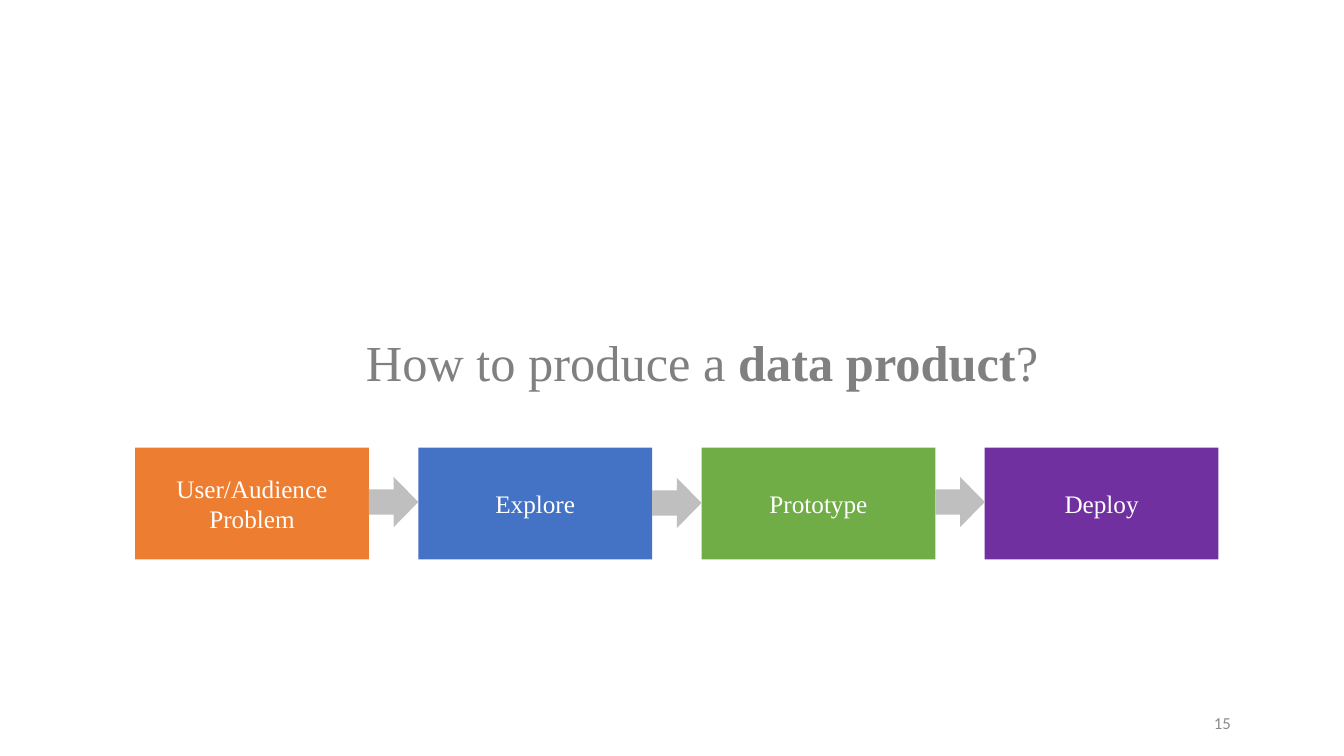
from dataclasses import dataclass

import pptx
import pptx.dml.color
import pptx.enum.shapes
import pptx.enum.text
import pptx.shapes.autoshape
import pptx.slide
import pptx.util

Pt = pptx.util.Pt
Align = pptx.enum.text.PP_ALIGN
Anchor = pptx.enum.text.MSO_ANCHOR
Form = pptx.enum.shapes.MSO_SHAPE


@dataclass(frozen=True)
class Theme:
    serif: str = "Times New Roman"
    sans: str = "Calibri"
    title: str = "808080"
    number: str = "8C8C8C"
    label: str = "FFFFFF"
    arrow: str = "BFBFBF"
    orange: str = "ED7D31"
    blue: str = "4472C4"
    green: str = "70AD47"
    purple: str = "7030A0"
    big: float = 36
    mid: float = 18
    small: float = 12


@dataclass(frozen=True)
class Area:
    left: float
    top: float
    width: float
    height: float

    def place(self) -> tuple[pptx.util.Length, ...]:
        return Pt(self.left), Pt(self.top), Pt(self.width), Pt(self.height)


@dataclass(frozen=True)
class Style:
    font: str
    size: float
    color: str
    align: Align = Align.CENTER


@dataclass(frozen=True)
class Piece:
    text: str
    bold: bool = False


@dataclass(frozen=True)
class Step:
    lines: tuple[str, ...]
    color: str


THEME = Theme()
LABEL = Style(THEME.serif, THEME.mid, THEME.label)
TITLE = Style(THEME.serif, THEME.big, THEME.title)
NUMBER = Style(THEME.sans, THEME.small, THEME.number, Align.RIGHT)

STEPS = (
    Step(("User/Audience", "Problem"), THEME.orange),
    Step(("Explore",), THEME.blue),
    Step(("Prototype",), THEME.green),
    Step(("Deploy",), THEME.purple),
)
FIRST = Area(96.5, 319.7, 167, 80)
GAP = 35.3
ARROWS = (340.6, 341.3, 340.6)
THICK = 36


def write(
    frame: pptx.text.text.TextFrame,
    lines: list[list[Piece]],
    style: Style,
    anchor: Anchor = Anchor.MIDDLE,
) -> None:
    frame.word_wrap = True
    frame.vertical_anchor = anchor
    for index, line in enumerate(lines):
        para = frame.add_paragraph() if index else frame.paragraphs[0]
        para.alignment = style.align
        for piece in line:
            run = para.add_run()
            run.text = piece.text
            run.font.name = style.font
            run.font.size = Pt(style.size)
            run.font.bold = piece.bold
            run.font.color.rgb = pptx.dml.color.RGBColor.from_string(style.color)


def block(
    slide: pptx.slide.Slide, form: Form, area: Area, color: str
) -> pptx.shapes.autoshape.Shape:
    shape = slide.shapes.add_shape(form, *area.place())
    shape.shadow.inherit = False
    shape.fill.solid()
    shape.fill.fore_color.rgb = pptx.dml.color.RGBColor.from_string(color)
    shape.line.fill.background()
    return shape


def flow(slide: pptx.slide.Slide) -> None:
    pitch = FIRST.width + GAP
    for index, step in enumerate(STEPS):
        area = Area(FIRST.left + index * pitch, FIRST.top, FIRST.width, FIRST.height)
        shape = block(slide, Form.RECTANGLE, area, step.color)
        write(shape.text_frame, [[Piece(line)] for line in step.lines], LABEL)
    for index, top in enumerate(ARROWS):
        left = FIRST.left + FIRST.width + index * pitch
        block(slide, Form.RIGHT_ARROW, Area(left, top, GAP, THICK), THEME.arrow)


def main() -> None:
    deck = pptx.Presentation()
    deck.slide_width, deck.slide_height = Pt(960), Pt(540)
    slide = deck.slides.add_slide(deck.slide_layouts[6])
    flow(slide)
    title = slide.shapes.add_textbox(*Area(209.5, 232.6, 584, 51).place())
    words = [Piece("How to produce a "), Piece("data product", True), Piece("?")]
    write(title.text_frame, [words], TITLE, Anchor.TOP)
    number = slide.shapes.add_textbox(*Area(670.3, 501.8, 216, 28.8).place())
    write(number.text_frame, [[Piece("15")]], NUMBER)
    deck.save("out.pptx")


if __name__ == "__main__":
    main()
